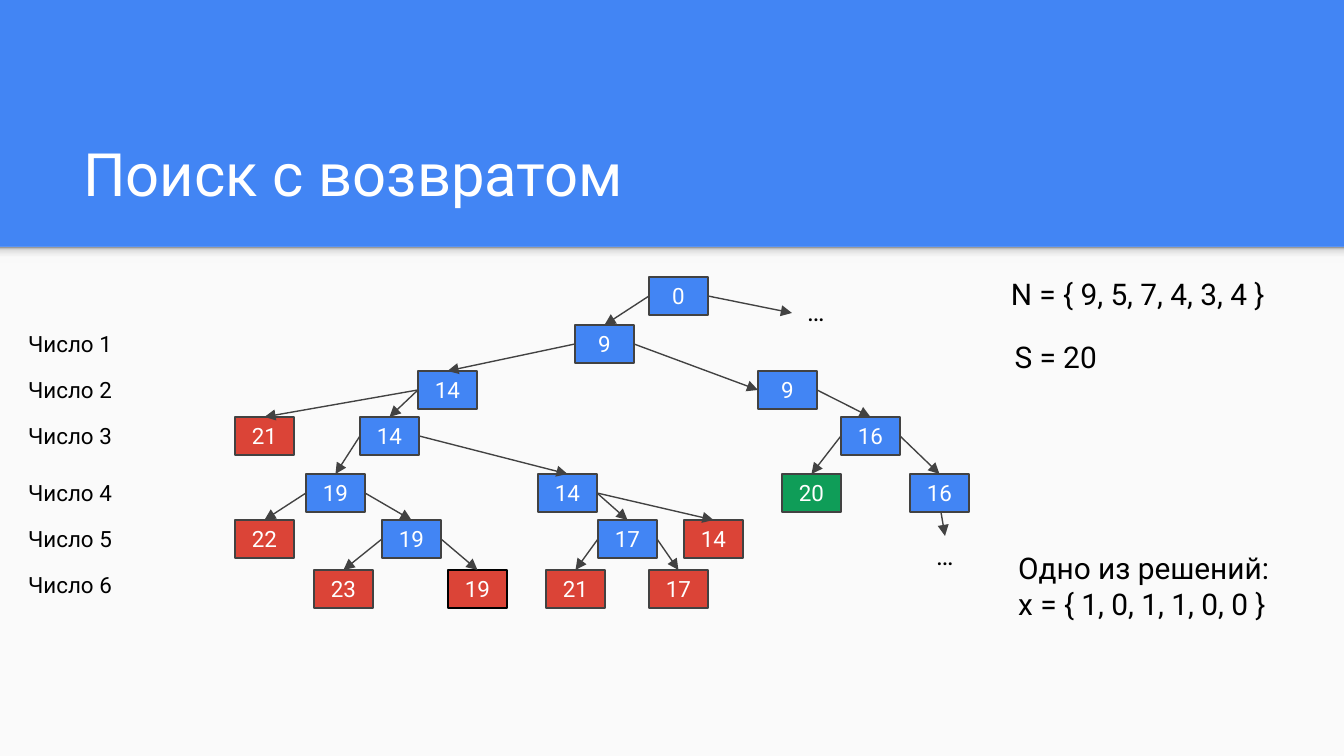
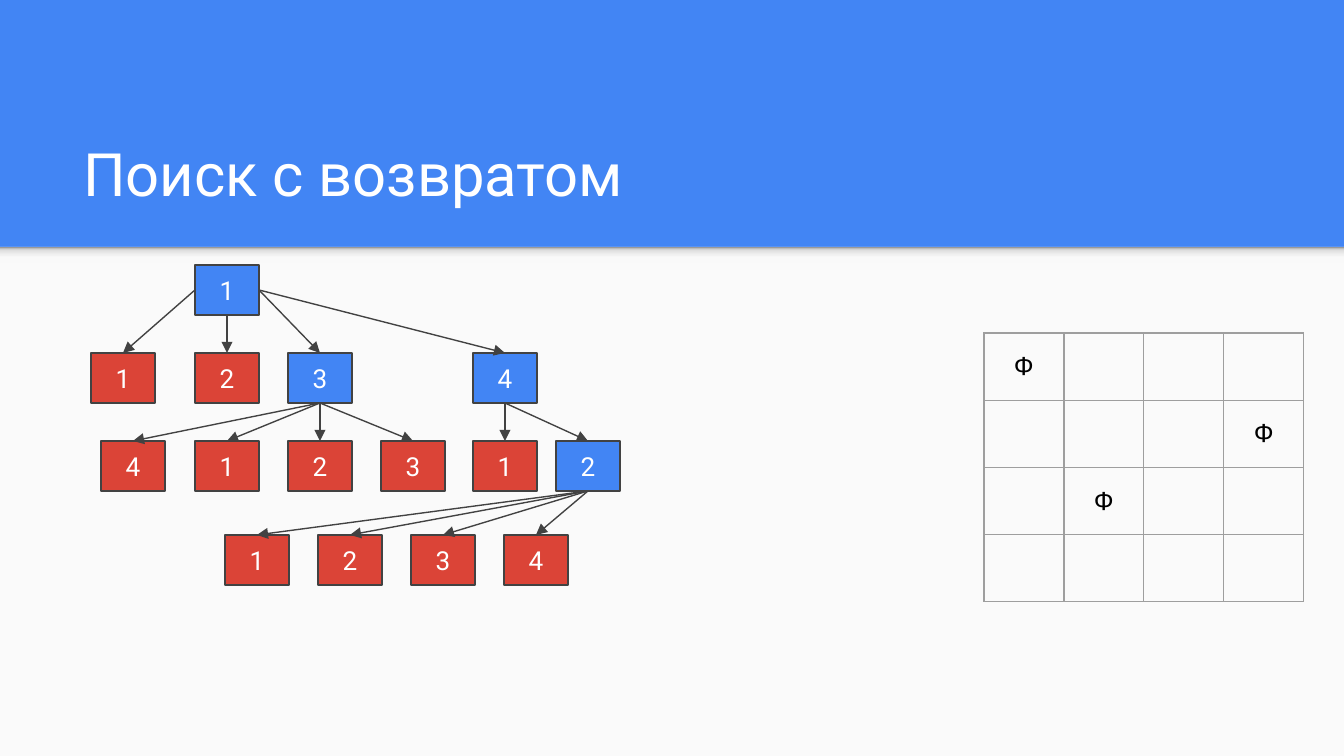
from lxml.etree import SubElement
from pptx import Presentation
from pptx.dml.color import RGBColor
from pptx.enum.shapes import MSO_CONNECTOR, MSO_SHAPE
from pptx.enum.text import MSO_ANCHOR, PP_ALIGN
from pptx.oxml.ns import qn
from pptx.util import Emu, Inches, Pt

# Shared look
WIDTH, HEIGHT, BAND = 1344, 756, 247
TITLE = "Поиск с возвратом"
BLUE, RED, GREEN = "4285F4", "DB4437", "0F9D58"
WHITE, BLACK, PAPER, EDGE, GRID = "FFFFFF", "000000", "FAFAFA", "424242", "9E9E9E"
SHADOW_STOPS = [(0, "F9F9F9"), (36, "F9F9F9"), (80, "DEDEDE"), (100, "999999")]
FONT = "Roboto"
INSET = Inches(0.1)
TOP, LEFT, BOTTOM, RIGHT = range(4)  # connection sites of a rectangle

# Subset sum tree: key -> (text, left, row, fill, parent, parent site, own site)
SUM_ROWS = [277, 325, 371, 417, 474, 520, 570]
SUM_NODES = {
    "root": ("0", 649, 0, BLUE, None, None, None),
    "take 9": ("9", 575, 1, BLUE, "root", LEFT, TOP),
    "take 5": ("14", 418, 2, BLUE, "take 9", LEFT, TOP),
    "5 and 7": ("21", 235, 3, RED, "take 5", LEFT, TOP),
    "5 no 7": ("14", 360, 3, BLUE, "take 5", LEFT, TOP),
    "5 and 4": ("19", 306, 4, BLUE, "5 no 7", LEFT, TOP),
    "4 and 3": ("22", 235, 5, RED, "5 and 4", LEFT, TOP),
    "4 no 3": ("19", 382, 5, BLUE, "5 and 4", RIGHT, TOP),
    "4 and last": ("23", 314, 6, RED, "4 no 3", LEFT, TOP),
    "4 no last": ("19", 448, 6, RED, "4 no 3", RIGHT, TOP),
    "5 no 4": ("14", 538, 4, BLUE, "5 no 7", RIGHT, TOP),
    "take 3": ("17", 598, 5, BLUE, "5 no 4", RIGHT, TOP),
    "3 and last": ("21", 546, 6, RED, "take 3", LEFT, TOP),
    "3 no last": ("17", 649, 6, RED, "take 3", RIGHT, TOP),
    "no 3": ("14", 684, 5, RED, "5 no 4", RIGHT, TOP),
    "no 5": ("9", 758, 2, BLUE, "take 9", RIGHT, LEFT),
    "take 7": ("16", 841, 3, BLUE, "no 5", RIGHT, TOP),
    "7 and 4": ("20", 782, 4, GREEN, "take 7", LEFT, TOP),
    "7 no 4": ("16", 910, 4, BLUE, "take 7", RIGHT, TOP),
}
BLACK_EDGED = "4 no last"
LABEL_TOPS = [317, 363, 409, 466, 512, 558]
OPEN_BRANCHES = [  # arrow, then the place of its ellipsis
    ((708, 296, 792, 313), (794, 282)),
    ((941, 512, 945, 536), (923, 526)),
]
NOTES = [  # lines, place, alignment
    (["N = { 9, 5, 7, 4, 3, 4 }"], (923, 262, 355, 67), PP_ALIGN.RIGHT),
    (["S = 20"], (997, 325, 113, 67), PP_ALIGN.RIGHT),
    (["Одно из решений:", "x = { 1, 0, 1, 1, 0, 0 }"], (1005, 536, 317, 184), PP_ALIGN.LEFT),
]

# Queens tree, same layout of fields
QUEEN_ROWS = [265, 353, 441, 535]
QUEEN_NODES = {
    "root": ("1", 195, 0, BLUE, None, None, None),
    "1": ("1", 91, 1, RED, "root", LEFT, TOP),
    "2": ("2", 195, 1, RED, "root", BOTTOM, TOP),
    "3": ("3", 288, 1, BLUE, "root", RIGHT, TOP),
    "3-1": ("1", 195, 2, RED, "3", BOTTOM, TOP),
    "3-2": ("2", 288, 2, RED, "3", BOTTOM, TOP),
    "3-3": ("3", 381, 2, RED, "3", BOTTOM, TOP),
    "3-4": ("4", 101, 2, RED, "3", BOTTOM, TOP),
    "4": ("4", 473, 1, BLUE, "root", RIGHT, TOP),
    "4-1": ("1", 473, 2, RED, "4", BOTTOM, TOP),
    "4-2": ("2", 556, 2, BLUE, "4", BOTTOM, TOP),
}
for step in range(4):
    QUEEN_NODES[f"4-2-{step + 1}"] = (str(step + 1), 225 + 93 * step, 3, RED, "4-2", BOTTOM, TOP)
BOARD = ["Ф...", "...Ф", ".Ф..", "...."]


def px(length):
    return Emu(round(length * 914400 / 134.4))


def color(value):
    return RGBColor.from_string(value)


def set_text(frame, lines, size, ink, align=PP_ALIGN.LEFT, anchor=MSO_ANCHOR.TOP):
    frame.word_wrap = True
    frame.vertical_anchor = anchor
    frame.margin_left = frame.margin_right = frame.margin_top = frame.margin_bottom = INSET
    for number, line in enumerate(lines):
        para = frame.add_paragraph() if number else frame.paragraphs[0]
        para.text = line
        para.alignment = align
        para.font.size = Pt(size)
        para.font.name = FONT
        para.font.color.rgb = color(ink)


def add_text(page, place, lines, size, ink=BLACK, **layout):
    box = page.shapes.add_textbox(*map(px, place))
    set_text(box.text_frame, lines, size, ink, **layout)


def add_rectangle(page, place):
    box = page.shapes.add_shape(MSO_SHAPE.RECTANGLE, *map(px, place))
    box.shadow.inherit = False
    box.line.fill.background()
    return box


def add_arrow(page, ends=(0, 0, 0, 0)):
    arrow = page.shapes.add_connector(MSO_CONNECTOR.STRAIGHT, *map(px, ends))
    arrow.line.color.rgb = color(EDGE)
    arrow.line.width = Pt(0.75)
    SubElement(arrow.line._get_or_add_ln(), qn("a:tailEnd"), type="triangle")
    SubElement(arrow._element.spPr, qn("a:effectLst"))
    return arrow


def add_page(deck):
    page = deck.slides.add_slide(deck.slide_layouts[6])
    page.background.fill.solid()
    page.background.fill.fore_color.rgb = color(BLUE)
    paper = add_rectangle(page, (0, BAND, WIDTH, HEIGHT - BAND))
    paper.fill.solid()
    paper.fill.fore_color.rgb = color(PAPER)

    # Soft shadow below the title band
    shadow = add_rectangle(page, (0, BAND, WIDTH, 16))
    shadow.fill.gradient()
    shadow.fill.gradient_angle = 90
    stops = shadow._element.spPr.find(".//" + qn("a:gsLst"))
    for stop in list(stops):
        stops.remove(stop)
    for percent, value in SHADOW_STOPS:
        stop = SubElement(stops, qn("a:gs"), pos=str(percent * 1000))
        SubElement(stop, qn("a:srgbClr"), val=value)

    add_text(page, (70, 109, 1208, 113), [TITLE], 32, WHITE, anchor=MSO_ANCHOR.BOTTOM)
    return page


def add_tree(page, nodes, rows, width, height, size):
    boxes = {}
    for key, (text, left, row, fill, parent, parent_site, site) in nodes.items():
        box = boxes[key] = add_rectangle(page, (left, rows[row], width, height))
        box.fill.solid()
        box.fill.fore_color.rgb = color(fill)
        box.line.color.rgb = color(BLACK if key == BLACK_EDGED else EDGE)
        box.line.width = Pt(0.75)
        set_text(box.text_frame, [text], size, WHITE, PP_ALIGN.CENTER, MSO_ANCHOR.MIDDLE)
        if parent:
            arrow = add_arrow(page)
            arrow.begin_connect(boxes[parent], parent_site)
            arrow.end_connect(box, site)


def add_board(page):
    table = page.shapes.add_table(4, 4, px(984), px(333), px(320), px(268)).table
    table.first_row = table.horz_banding = False
    for column in table.columns:
        column.width = px(80)
    for row, marks in zip(table.rows, BOARD):
        row.height = Inches(0.5)
        for cell, mark in zip(row.cells, marks):
            cell.margin_left = cell.margin_right = cell.margin_top = cell.margin_bottom = INSET
            cell.vertical_anchor = MSO_ANCHOR.MIDDLE
            para = cell.text_frame.paragraphs[0]
            para.text = mark.replace(".", "")
            para.alignment = PP_ALIGN.CENTER
            para.font.size = Pt(14)
            para.font.name = "Arial"
            para.font.color.rgb = color(BLACK)
            # Borders come before the fill in the cell properties
            properties = cell._tc.get_or_add_tcPr()
            for side in ("lnL", "lnR", "lnT", "lnB"):
                border = SubElement(properties, qn("a:" + side), w=str(Pt(0.75)))
                paint = SubElement(border, qn("a:solidFill"))
                SubElement(paint, qn("a:srgbClr"), val=GRID)
            cell.fill.background()


def main():
    deck = Presentation()
    deck.slide_width, deck.slide_height = px(WIDTH), px(HEIGHT)

    # Subset sum
    page = add_page(deck)
    for lines, place, align in NOTES:
        add_text(page, place, lines, 16, align=align)
    for number, top in enumerate(LABEL_TOPS, 1):
        add_text(page, (15, top, 138, 54), [f"Число {number}"], 12)
    add_tree(page, SUM_NODES, SUM_ROWS, 59, 38, 12)
    for ends, (left, top) in OPEN_BRANCHES:
        add_arrow(page, ends)
        add_text(page, (left, top, 59, 46), ["…"], 14)

    # Queens on a board
    page = add_page(deck)
    add_board(page)
    add_tree(page, QUEEN_NODES, QUEEN_ROWS, 64, 50, 14)

    deck.save("out.pptx")


if __name__ == "__main__":
    main()
